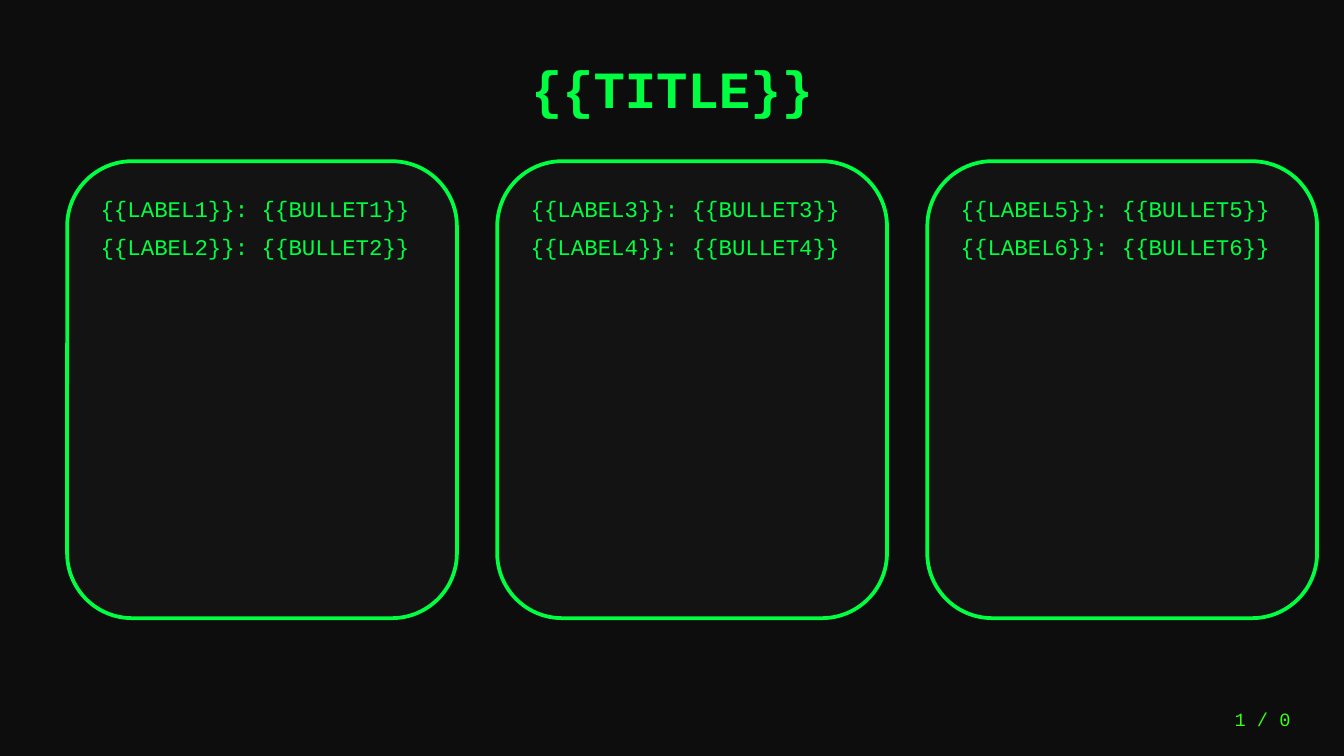
from dataclasses import dataclass
from typing import Any

from lxml import etree
from pptx import Presentation
from pptx.dml.color import RGBColor
from pptx.enum import shapes, text
from pptx.oxml import ns
from pptx.util import Pt

BACKGROUND = RGBColor(0x0D, 0x0D, 0x0D)
PANEL = RGBColor(0x14, 0x14, 0x14)
GREEN = RGBColor(0x00, 0xFF, 0x41)
NEON = RGBColor(0x39, 0xFF, 0x14)


@dataclass
class TerminalSlide:
    """Draws terminal-styled elements on one slide, measured in points."""

    slide: Any
    font_name: str = "Courier New"

    def background(self, color):
        fill = self.slide.background.fill
        fill.solid()
        fill.fore_color.rgb = color

    def text(self, box, lines, size, color=GREEN, bold=False,
             align=text.PP_ALIGN.LEFT, anchor=text.MSO_ANCHOR.TOP, space_after=0):
        frame = self.slide.shapes.add_textbox(*map(Pt, box)).text_frame
        frame.word_wrap = True
        frame.vertical_anchor = anchor
        frame.text = "\n".join(lines)
        for paragraph in frame.paragraphs:
            paragraph.alignment = align
            paragraph.space_after = Pt(space_after)
            for run in paragraph.runs:
                run.font.name = self.font_name
                run.font.size = Pt(size)
                run.font.bold = bold
                run.font.color.rgb = color

    def panel(self, box, opacity=90):
        shape = self.slide.shapes.add_shape(
            shapes.MSO_SHAPE.ROUNDED_RECTANGLE, *map(Pt, box))
        shape.shadow.inherit = False
        shape.fill.solid()
        shape.fill.fore_color.rgb = PANEL
        color = shape.fill._xPr.find(ns.qn("a:solidFill"))[0]
        etree.SubElement(color, ns.qn("a:alpha"), val=str(opacity * 1000))
        shape.line.color.rgb = GREEN
        shape.line.width = Pt(2)


def main():
    presentation = Presentation()
    presentation.slide_width = Pt(720)
    presentation.slide_height = Pt(405)
    page = TerminalSlide(presentation.slides.add_slide(presentation.slide_layouts[6]))

    page.background(BACKGROUND)
    page.text((36, 21.6, 648, 50.4), ["{{TITLE}}"], 28, bold=True,
              align=text.PP_ALIGN.CENTER, anchor=text.MSO_ANCHOR.MIDDLE)

    for column in range(3):
        left = 36 + column * 230.4
        numbers = (2 * column + 1, 2 * column + 2)
        lines = ["{{LABEL%d}}: {{BULLET%d}}" % (number, number) for number in numbers]
        page.panel((left, 86.4, 208.8, 244.8))
        page.text((left + 10.8, 100.8, 187.2, 216), lines, 12, space_after=6)

    page.text((612, 374.4, 86.4, 21.6), ["1 / 0"], 10, color=NEON,
              align=text.PP_ALIGN.RIGHT, anchor=text.MSO_ANCHOR.MIDDLE)
    presentation.save("out.pptx")


if __name__ == "__main__":
    main()
